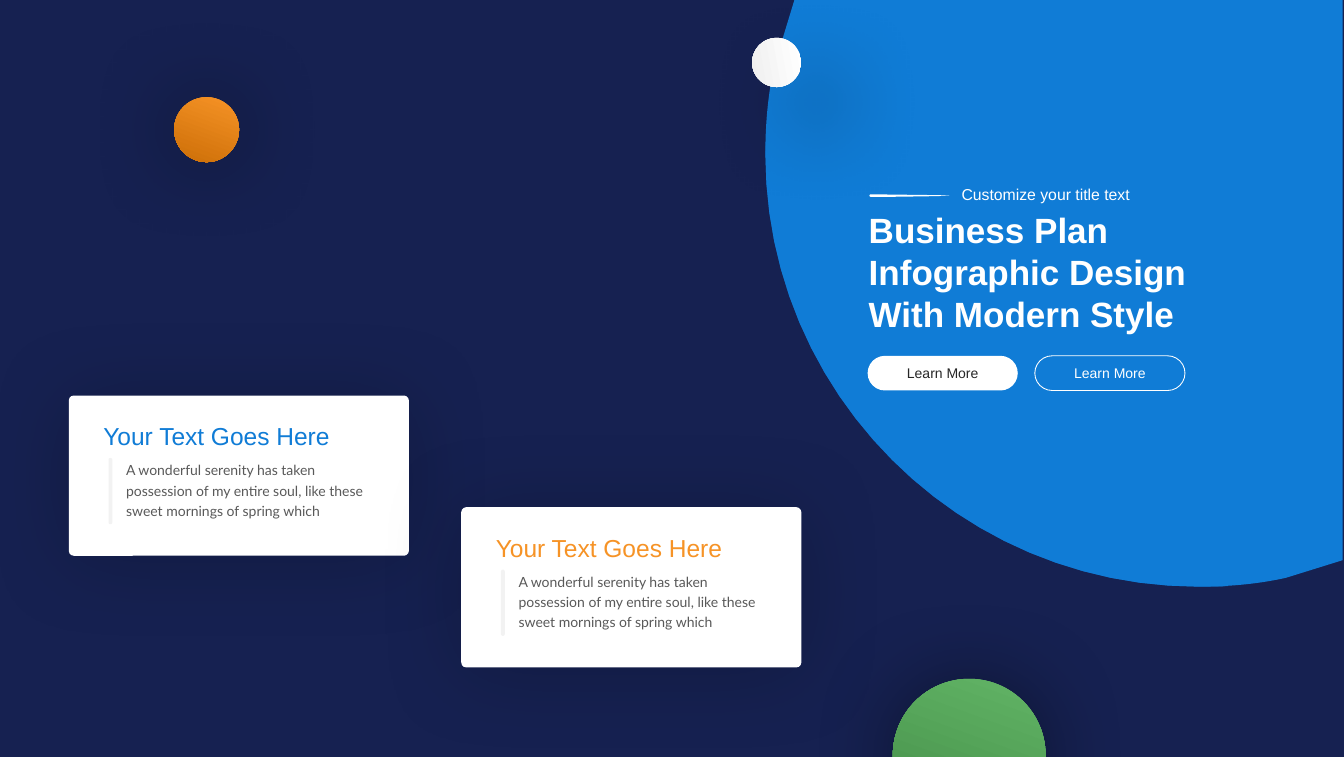
from lxml import etree
from pptx import Presentation
from pptx.dml.color import RGBColor
from pptx.enum import shapes, text
from pptx.oxml.ns import qn
from pptx.util import Pt

PX = 9144  # EMU in one px, 100 px to the inch
WHITE, BLUE, ORANGE = "FFFFFF", "107CD6", "F69326"
HEADING, BODY = "Your Text Goes Here", (
    "A wonderful serenity has taken possession of my entire soul, "
    "like these sweet mornings of spring which")


def emu(*lengths):
    return [round(length * PX) for length in lengths]


def rgb(value):
    return RGBColor.from_string(value)


def trace(segments, steps=24):
    """Turn points and (x1, y1, x2, y2, x3, y3) curves into a list of points."""
    points = []
    for segment in segments:
        if len(segment) == 2:
            points.append(segment)
            continue
        controls = [points[-1], segment[:2], segment[2:4], segment[4:]]
        for step in range(1, steps + 1):
            t = step / steps
            weights = (1 - t) ** 3, 3 * t * (1 - t) ** 2, 3 * t * t * (1 - t), t ** 3
            points.append(tuple(sum(w * c[axis] for w, c in zip(weights, controls))
                                for axis in (0, 1)))
    return points


class Painter:
    FONT = {"name": "Arial", "bold": False}

    def __init__(self, slide):
        self.slide = slide

    def background(self, color):
        self.slide.background.fill.solid()
        self.slide.background.fill.fore_color.rgb = rgb(color)

    def paint(self, shape, fill=None, line=None):
        shape.shadow.inherit = False
        if fill:
            shape.fill.solid()
            shape.fill.fore_color.rgb = rgb(fill)
        else:
            shape.fill.background()
        if line:
            shape.line.color.rgb = rgb(line)
            shape.line.width = Pt(1)
        else:
            shape.line.fill.background()

    def shadow(self, shape, opacity, distance, angle):
        effects = shape._element.spPr.find(qn("a:effectLst"))
        outer = etree.SubElement(
            effects, qn("a:outerShdw"), blurRad=str(Pt(100)), dist=str(Pt(distance)),
            dir=str(angle * 60000), algn="ctr", rotWithShape="0")
        color = etree.SubElement(outer, qn("a:srgbClr"), val="000000")
        etree.SubElement(color, qn("a:alpha"), val=str(opacity * 1000))

    def outline(self, segments, fill, opacity=100):
        start, *rest = [emu(*point) for point in trace(segments)]
        builder = self.slide.shapes.build_freeform(*start, scale=1.0)
        builder.add_line_segments(rest, close=True)
        shape = builder.convert_to_shape()
        self.paint(shape, fill)
        if opacity < 100:
            color = shape._element.spPr.find(qn("a:solidFill"))[0]
            etree.SubElement(color, qn("a:alpha"), val=str(opacity * 1000))

    def ball(self, left, top, size, colors, angle, distance=0, direction=0):
        shape = self.slide.shapes.add_shape(
            shapes.MSO_SHAPE.OVAL, *emu(left, top, size, size))
        self.paint(shape)
        shape.fill.gradient()
        shape.fill.gradient_angle = 360 - angle
        for stop, position, color in zip(shape.fill.gradient_stops, (0, 1), colors):
            stop.position = position
            stop.color.rgb = rgb(color)
        self.shadow(shape, 40, distance, direction)

    def rounded(self, box, corner, fill=None, line=None):
        shape = self.slide.shapes.add_shape(
            shapes.MSO_SHAPE.ROUNDED_RECTANGLE, *emu(*box))
        shape.adjustments[0] = corner
        self.paint(shape, fill, line)
        return shape

    def typeset(self, frame, words, color, spacing=1.0, **font):
        frame.word_wrap = True
        paragraph = frame.paragraphs[0]
        paragraph.line_spacing = spacing
        run = paragraph.add_run()
        run.text = words
        for key, value in {**self.FONT, **font}.items():
            setattr(run.font, key, value)
        run.font.color.rgb = rgb(color)
        return paragraph

    def label(self, box, words, color, **style):
        frame = self.slide.shapes.add_textbox(*emu(*box)).text_frame
        self.typeset(frame, words, color, **style)
        frame.auto_size = text.MSO_AUTO_SIZE.SHAPE_TO_FIT_TEXT

    def button(self, left, color, fill=None, line=None):
        shape = self.rounded((left, 564, 238, 55), 0.5, fill, line)
        shape.text_frame.vertical_anchor = text.MSO_ANCHOR.MIDDLE
        caption = self.typeset(shape.text_frame, "Learn More", color, size=Pt(16))
        caption.alignment = text.PP_ALIGN.CENTER

    def card(self, left, top, accent):
        panel = self.rounded((left, top, 539, 254), 0.031, WHITE)
        self.shadow(panel, 20, 4, 90)
        self.label((left + 45, top + 45, 404, 50), HEADING, accent,
                   spacing=0.8, size=Pt(28))
        self.rounded((left + 63, top + 99, 6, 105), 0.5, "F2F2F2")
        self.label((left + 81, top + 95, 412, 97), BODY, "595959",
                   spacing=1.2, size=Pt(16), name="Lato")


def main():
    deck = Presentation()
    deck.slide_width, deck.slide_height = emu(2130, 1200)
    painter = Painter(deck.slides.add_slide(deck.slide_layouts[6]))
    painter.background("162151")

    # Large disc and its overlay
    painter.outline([(1259, 0), (2128, 0), (2128, 888), (2038, 916),
                     (1993, 926, 1947, 930, 1899, 930),
                     (1520, 930, 1213, 623, 1213, 244),
                     (1213, 196, 1217, 150, 1227, 105)], BLUE)
    painter.outline([(1215, 203), (1946, 203), (1946, 929), (1935, 930), (1899, 930),
                     (1520, 930, 1213, 623, 1213, 244)], BLUE, opacity=70)

    # Title block
    painter.label((1514, 288, 367, 40), "Customize your title text", WHITE, size=Pt(18))
    painter.outline([(1381, 308), (1437, 309, 1482, 309, 1505, 310),
                     (1488, 311, 1486, 311, 1415, 312), (1380, 312),
                     (1379, 312, 1378, 311, 1378, 310),
                     (1378, 309, 1379, 308, 1381, 308)], WHITE)
    painter.label((1367, 326, 566, 212),
                  "Business Plan Infographic Design With Modern Style",
                  WHITE, size=Pt(40), bold=True)
    painter.button(1375, "262626", fill=WHITE)
    painter.button(1640, WHITE, line=WHITE)

    painter.ball(1192, 60, 78, (WHITE, "F0F0F0"), 170, distance=64, direction=45)
    painter.card(109, 627, BLUE)
    painter.card(731, 804, ORANGE)
    painter.ball(1415, 1076, 242, ("62B466", "438D47"), 110)
    painter.ball(276, 154, 103, (ORANGE, "CD6F08"), 110)

    deck.save("out.pptx")


if __name__ == "__main__":
    main()
